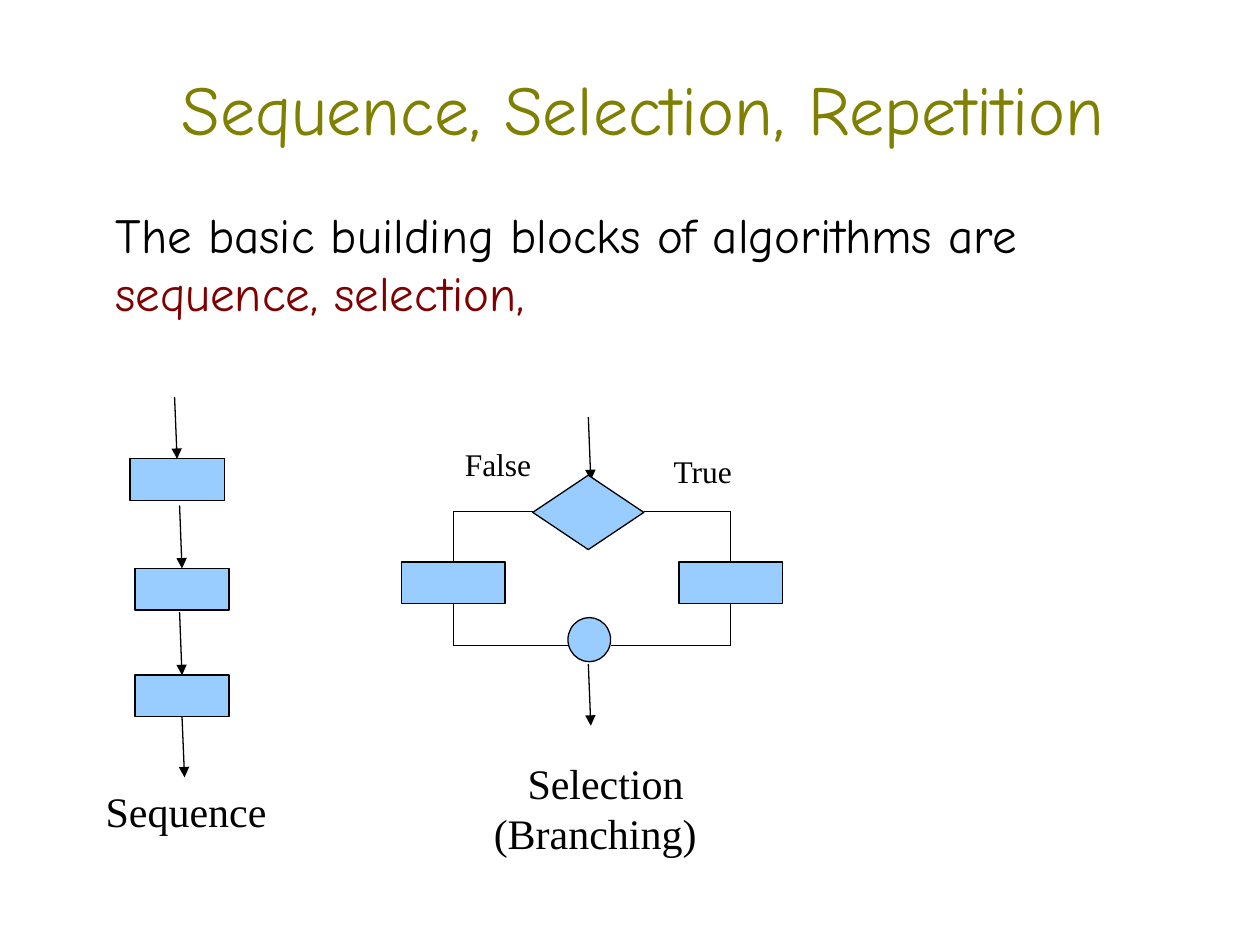
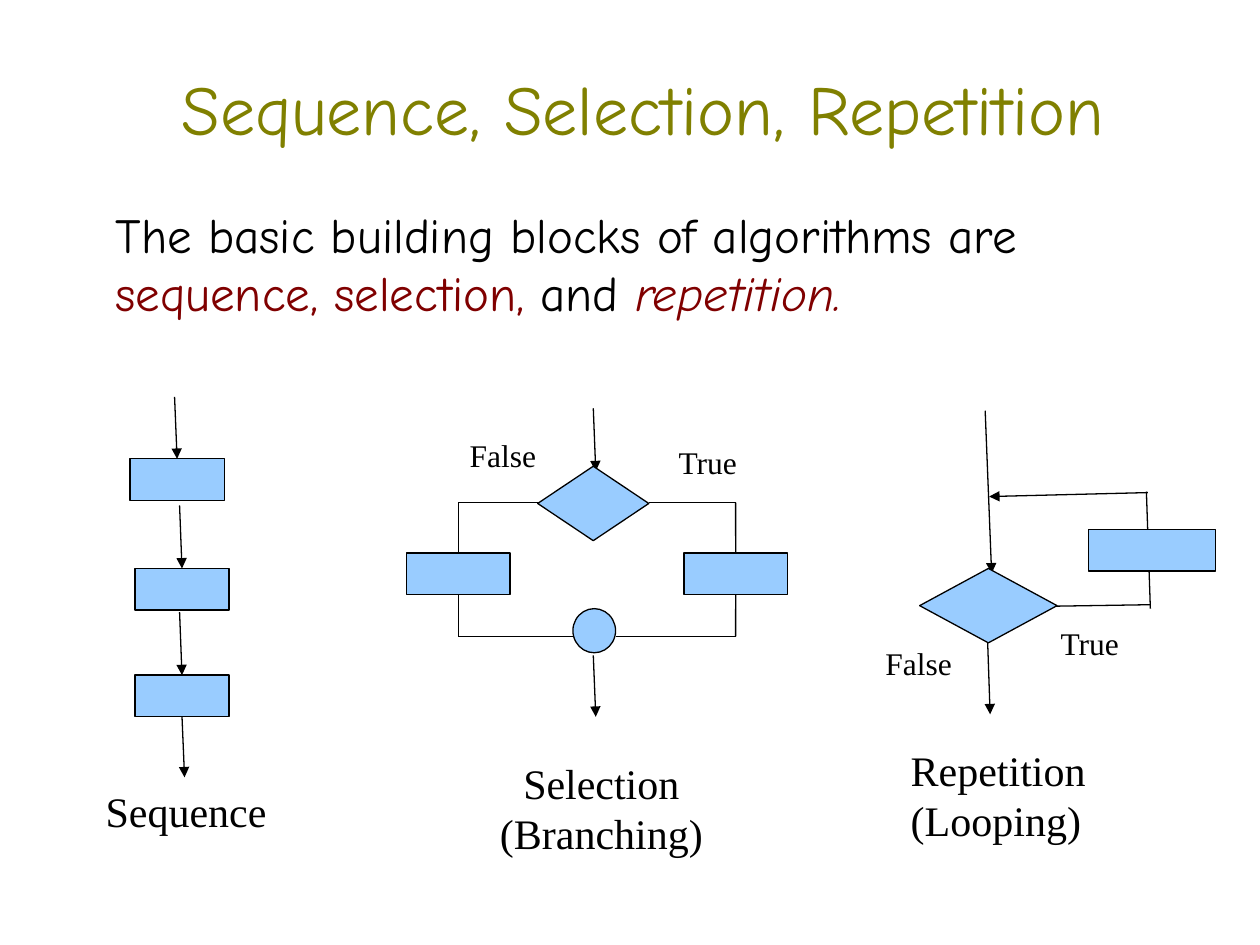
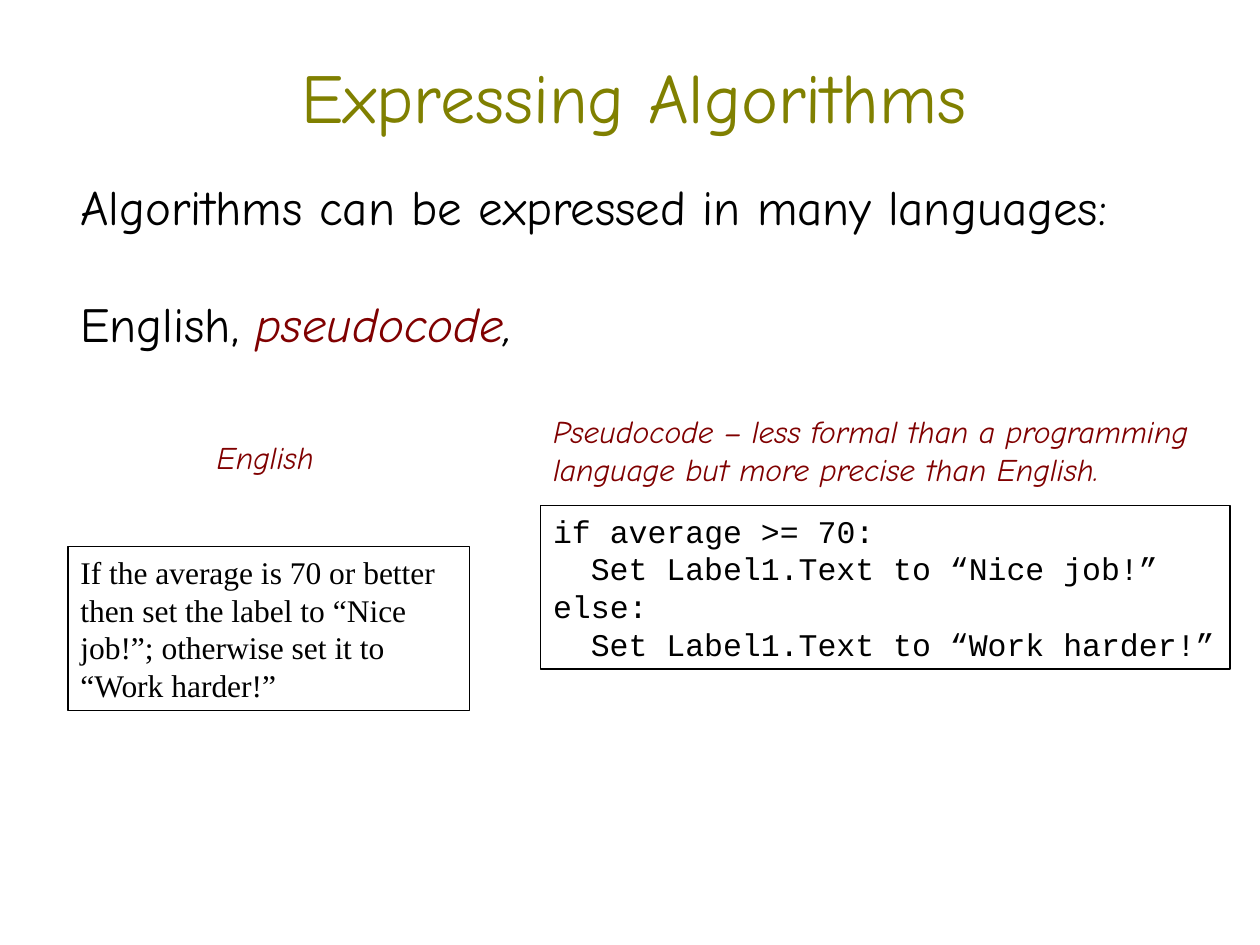
from dataclasses import dataclass

from lxml.etree import SubElement
from pptx import Presentation
from pptx.dml.color import RGBColor
from pptx.enum.shapes import MSO_CONNECTOR, MSO_SHAPE
from pptx.enum.text import MSO_ANCHOR, MSO_AUTO_SIZE, PP_ALIGN
from pptx.oxml.ns import qn
from pptx.util import Cm, Pt


@dataclass(frozen=True)
class Theme:
    """Colours, fonts and sizes shared by the slides."""
    black: RGBColor = RGBColor(0, 0, 0)
    olive: RGBColor = RGBColor(0x80, 0x80, 0)
    maroon: RGBColor = RGBColor(0x80, 0, 0)
    node_fill: RGBColor = RGBColor(0x99, 0xCC, 0xFF)
    display: str = "Comic Neue"
    serif: str = "Times New Roman"
    mono: str = "Courier New"
    title_size: int = 40
    body_size: int = 28
    caption_size: int = 24
    small_size: int = 18
    line_width: float = 0.75


THEME = Theme()


def style(name, size, color=THEME.black, italic=False):
    """Return the format values of a run."""
    return {"name": name, "size": Pt(size), "color": color, "italic": italic}


TITLE = style(THEME.display, THEME.title_size, THEME.olive)
BODY = style(THEME.display, THEME.body_size)
KEYWORD = style(THEME.display, THEME.body_size, THEME.maroon)
KEYWORD_ITALIC = KEYWORD | {"italic": True}
BODY_ITALIC = BODY | {"italic": True}
CAPTION = style(THEME.serif, THEME.caption_size)
BRANCH = style(THEME.serif, THEME.small_size)
CODE = style(THEME.mono, THEME.small_size)
HEADING = style(THEME.display, THEME.small_size, THEME.maroon, True)

NODE_WIDTH, NODE_HEIGHT = 2.08, 0.84
DIAMOND_HEIGHT = 1.5
BRANCH_LABEL_HEIGHT = 1.55


def add_runs(paragraph, runs):
    """Fill a paragraph with (text, style) pairs."""
    for text, values in runs:
        run = paragraph.add_run()
        run.text = text
        for name, value in values.items():
            if name == "color":
                run.font.color.rgb = value
            else:
                setattr(run.font, name, value)


def place(shape, box):
    """Move and size a shape to a box in centimetres."""
    for name, value in zip(("left", "top", "width", "height"), box):
        setattr(shape, name, Cm(value))


def outline(shape):
    """Give a shape or connector the thin black line."""
    shape.line.color.rgb = THEME.black
    shape.line.width = Pt(THEME.line_width)


def add_title(slide, text, box):
    """Format the title placeholder."""
    title = slide.shapes.title
    place(title, box)
    frame = title.text_frame
    frame.auto_size = MSO_AUTO_SIZE.NONE
    frame.vertical_anchor = MSO_ANCHOR.MIDDLE
    frame.paragraphs[0].alignment = PP_ALIGN.CENTER
    add_runs(frame.paragraphs[0], [(text, TITLE)])


def add_text(slide, box, paragraphs, align=PP_ALIGN.LEFT, indents=(), gap=0):
    """Add a wrapped text box, with optional indents and paragraph gap."""
    text_box = slide.shapes.add_textbox(*map(Cm, box))
    frame = text_box.text_frame
    frame.word_wrap = True
    for index, runs in enumerate(paragraphs):
        paragraph = frame.add_paragraph() if index else frame.paragraphs[0]
        paragraph.alignment = align
        if index and gap:
            paragraph.space_before = Pt(gap)
        if index < len(indents):
            properties = paragraph._p.get_or_add_pPr()
            properties.set("marL", str(Cm(indents[index])))
            properties.set("indent", "0")
        add_runs(paragraph, runs)
    return text_box


class Flowchart:
    """Draws flowchart parts relative to a corner of the slide."""

    def __init__(self, slide, left, top):
        """Remember the slide and the corner."""
        self.slide, self.left, self.top = slide, left, top

    def box(self, left, top, width, height):
        """Shift a box to slide coordinates."""
        return self.left + left, self.top + top, width, height

    def node(self, kind, *box):
        """Add a filled node."""
        shape = self.slide.shapes.add_shape(kind, *map(Cm, self.box(*box)))
        shape.shadow.inherit = False
        shape.fill.solid()
        shape.fill.fore_color.rgb = THEME.node_fill
        outline(shape)
        return shape

    def step(self, left, top, width=NODE_WIDTH):
        """Add a process box with square corners."""
        shape = self.node(MSO_SHAPE.ROUNDED_RECTANGLE, left, top, width, NODE_HEIGHT)
        shape.adjustments[0] = 0
        return shape

    def line(self, start, end, arrow=False, source=None, target=None):
        """Add a line, joined below its source or above its target."""
        points = [Cm(value + shift) for point in (start, end)
                  for value, shift in zip(point, (self.left, self.top))]
        connector = self.slide.shapes.add_connector(MSO_CONNECTOR.STRAIGHT, *points)
        outline(connector)
        if source is not None:
            connector.begin_connect(source, 2)
        if target is not None:
            connector.end_connect(target, 0)
        if arrow:
            SubElement(connector.line._get_or_add_ln(), qn("a:tailEnd"), type="triangle")
        SubElement(connector._element.spPr, qn("a:effectLst"))

    def label(self, text, left, top, width):
        """Add a branch label."""
        box = self.box(left, top, width, BRANCH_LABEL_HEIGHT)
        add_text(self.slide, box, [[(text, BRANCH)]])


def draw_sequence(slide, left, top):
    """Draw three steps in a row with their caption."""
    chart = Flowchart(slide, left, top)
    step_width, tilt = 1.9, 0.05
    for step_left, step_top, start_y in ((0.74, 1.25, 0), (0.84, 3.46, 2.19),
                                         (0.84, 5.61, 4.34)):
        step = chart.step(step_left, step_top, step_width)
        middle = step_left + step_width / 2
        chart.line((middle - tilt, start_y), (middle, step_top), True, target=step)
    chart.line((middle, step_top + NODE_HEIGHT), (middle + tilt, 7.67), True, source=step)
    add_text(slide, chart.box(0, 7.72, 4.2, 1.27), [[("Sequence", CAPTION)]])


def draw_selection(slide, left, top):
    """Draw a two-way branch that merges again."""
    chart = Flowchart(slide, left, top)
    step_top, branch_y, merge_y = 2.92, 1.9, 4.6
    for step_left, diamond_x, circle_x in ((0, 2.69, 3.35), (5.59, 4.88, 4.21)):
        step = chart.step(step_left, step_top)
        middle = step_left + NODE_WIDTH / 2
        chart.line((middle, branch_y), (middle, step_top), target=step)
        chart.line((middle, step_top + NODE_HEIGHT), (middle, merge_y), source=step)
        chart.line((middle, branch_y), (diamond_x, branch_y))
        chart.line((middle, merge_y), (circle_x, merge_y))
    for start_y, end_y in ((0, 1.27), (4.98, 6.22)):
        chart.line((3.76, start_y), (3.81, end_y), True)
    chart.node(MSO_SHAPE.OVAL, 3.35, 4.04, 0.86, 0.89)
    chart.node(MSO_SHAPE.DIAMOND, 2.64, 1.17, 2.24, DIAMOND_HEIGHT)
    chart.label("True", 5.23, 0.58, 1.83)
    chart.label("False", 1.02, 0.43, 2.01)


def draw_repetition(slide, left, top):
    """Draw a loop with its caption."""
    chart = Flowchart(slide, left, top)
    for start, end, arrow in (((2.26, 0), (2.39, 3.28), True),
                              ((3.66, 3.94), (5.59, 3.91), False),
                              ((5.59, 3.99), (5.51, 1.63), False),
                              ((5.54, 1.65), (2.34, 1.73), True),
                              ((2.31, 4.67), (2.36, 6.12), True)):
        chart.line(start, end, arrow)
    chart.node(MSO_SHAPE.DIAMOND, 0.94, 3.18, 2.77, DIAMOND_HEIGHT)
    chart.step(4.34, 2.39, 2.57)
    chart.label("False", 0, 4.57, 2.49)
    chart.label("True", 3.53, 4.17, 2.57)
    add_text(slide, chart.box(0.51, 6.6, 4.2, 2.29),
             [[("Repetition", CAPTION)], [("(Looping)", CAPTION)]])


def build_blocks_slide(slide, keywords, selection_corner, caption_width, caption_indent=0):
    """Build a slide on the building blocks of algorithms."""
    add_title(slide, "Sequence, Selection, Repetition", (2.16, 0.89, 21.59, 2.54))
    draw_sequence(slide, 1.88, 8)
    add_text(slide, (9.32, 15.14, caption_width, 2.29),
             [[("Selection", CAPTION)], [("(Branching)", CAPTION)]],
             PP_ALIGN.CENTER, (caption_indent,))
    draw_selection(slide, *selection_corner)
    intro = ("The basic building blocks of algorithms are ", BODY)
    add_text(slide, (2.08, 3.99, 21.59, 3.18), [[intro, *keywords]])


def build_languages_slide(slide):
    """Build the slide that compares English with pseudocode."""
    add_title(slide, "Expressing Algorithms", (1.98, 0.66, 21.59, 2.54))
    add_text(slide, (1.37, 3.43, 23.11, 3.81), [
        [("Algorithms can be expressed in many languages:", BODY)],
        [("English, ", BODY), ("pseudocode", KEYWORD_ITALIC), (",", BODY_ITALIC)],
    ], gap=33.5)
    add_text(slide, (4.12, 8.7, 3.02, 1.1), [[("English", HEADING)]])
    add_text(slide, (10.9, 8.18, 14.3, 1.9), [
        [("Pseudocode – less formal than a programming", HEADING)],
        [("language but more precise than English.", HEADING)],
    ])
    code_lines = ("if average >= 70:", "Set Label1.Text to “Nice job!”",
                  "else:", "Set Label1.Text to “Work harder!”")
    english = ("If the average is 70 or better then set the label to “Nice job!”; "
               "otherwise set it to “Work harder!”")
    outline(add_text(slide, (10.9, 10.19, 13.9, 3.3),
                     [[(line, CODE)] for line in code_lines], indents=(0, 0.76) * 2))
    outline(add_text(slide, (1.37, 11.02, 8.1, 3.3), [[(english, BRANCH)]]))


def main():
    """Build and save the presentation."""
    presentation = Presentation()
    presentation.slide_width, presentation.slide_height = Cm(25.4), Cm(19.05)
    title_only = presentation.slide_layouts[5]
    first, second, third = (presentation.slides.add_slide(title_only) for _ in range(3))
    build_blocks_slide(first, [("sequence, selection,", KEYWORD)],
                       (8.1, 8.41), 5.36, 0.42)
    build_blocks_slide(second, [("sequence, selection, ", KEYWORD), ("and ", BODY),
                                ("repetition.", KEYWORD_ITALIC)], (8.2, 8.23), 5.61)
    draw_repetition(second, 17.6, 8.28)
    build_languages_slide(third)
    presentation.save("out.pptx")


if __name__ == "__main__":
    main()
